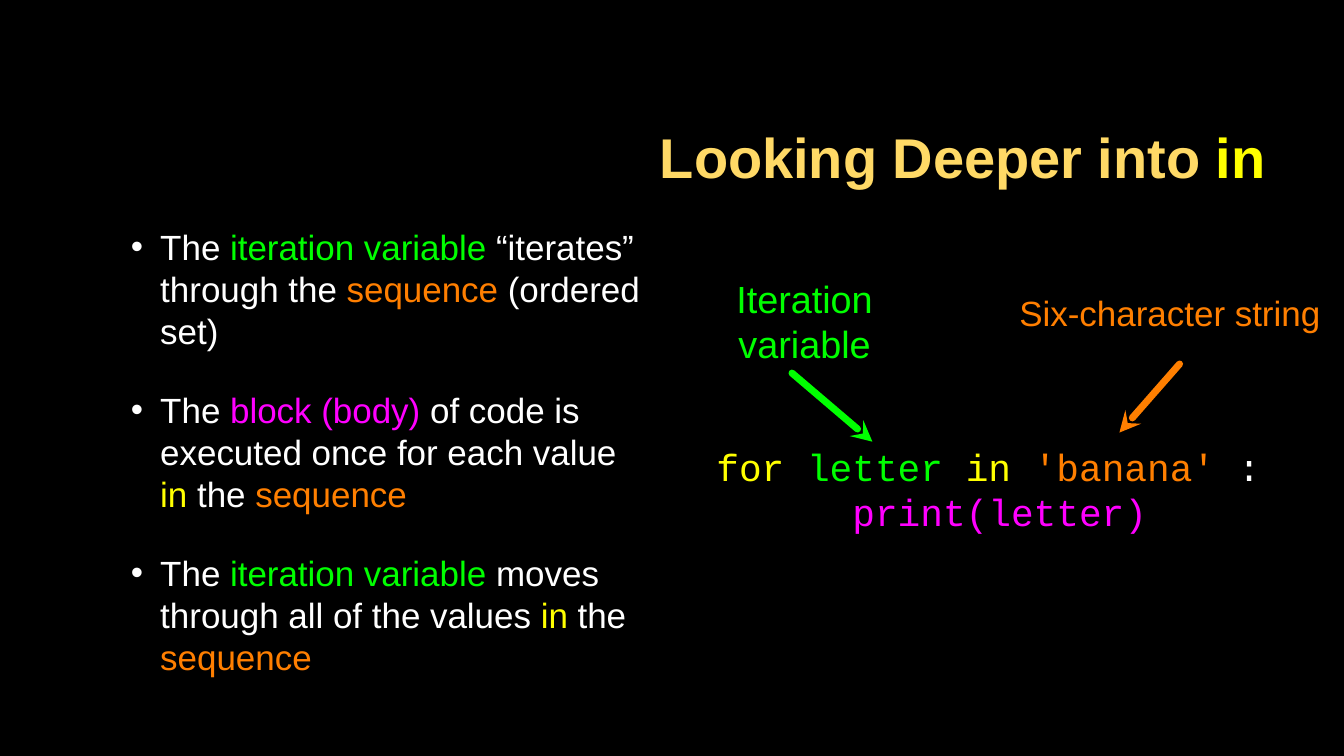
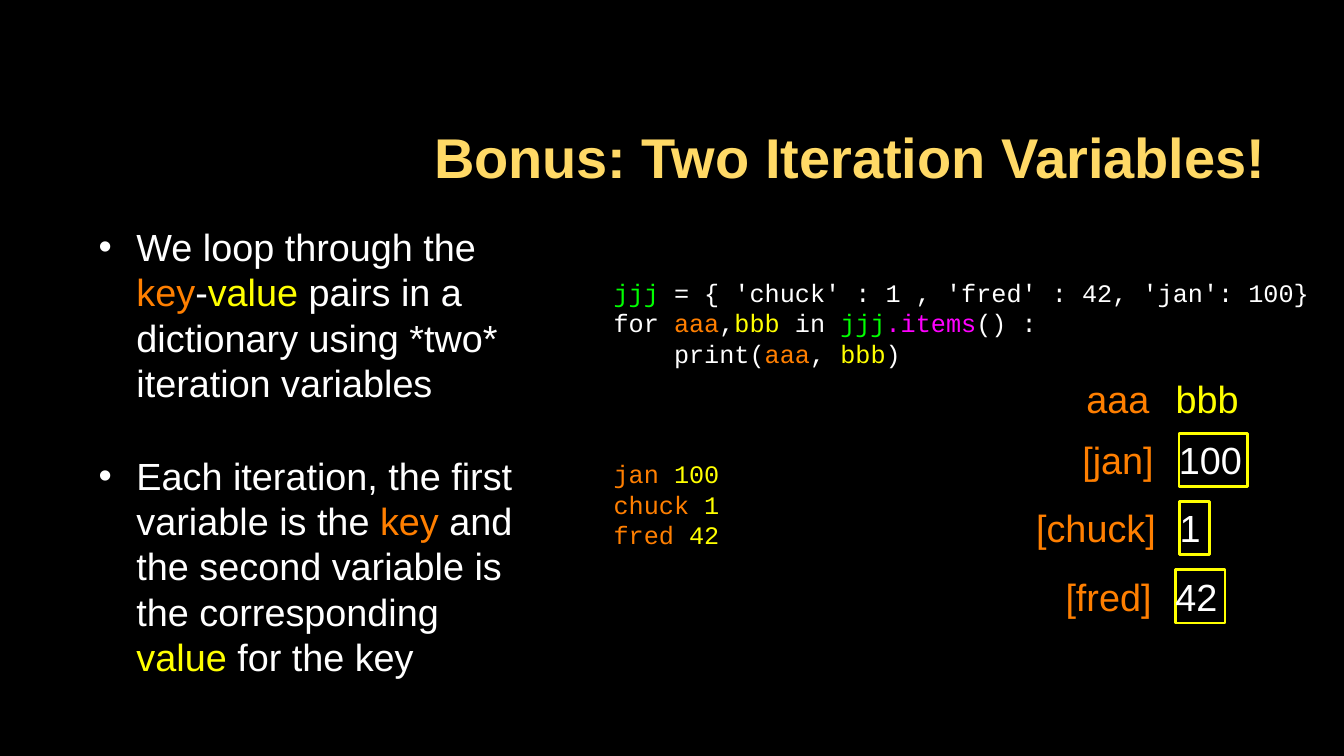
from typing import NamedTuple

from lxml import etree
from pptx import Presentation
from pptx.dml.color import RGBColor
from pptx.enum import shapes as kinds, text as t
from pptx.oxml.ns import qn
from pptx.util import Pt

HUES = {
    "black": "000000", "white": "FFFFFF", "gold": "FFD966", "yellow": "FFFF00",
    "green": "00FF00", "orange": "FF7F00", "pink": "FF00FF",
}
SANS, MONO = "Arial", "Courier New"
LEFT, MID, RIGHT = t.PP_ALIGN.LEFT, t.PP_ALIGN.CENTER, t.PP_ALIGN.RIGHT
LEAD = 1.2  # line pitch as a multiple of the text size


class Run(NamedTuple):
    text: str
    hue: str = "white"


class Box(NamedTuple):
    left: float
    top: float
    width: float
    height: float


class Look(NamedTuple):
    size: float
    font: str = SANS
    align: t.PP_ALIGN = LEFT
    bold: bool = False
    gap: float = 0
    inset: float = 0


class Label(NamedTuple):
    box: Box
    look: Look
    lines: list[list[Run]]


class Arrow(NamedTuple):
    start: tuple[float, float]
    tip: tuple[float, float]
    hue: str


class Entry(NamedTuple):
    key: str
    value: str
    right: float
    top: float
    left: float
    width: float


TITLE = Look(40, align=RIGHT, bold=True, inset=2)
BIG = Look(27, align=MID)

ITER = Run("iteration variable ", "green")
SEQ = Run("sequence", "orange")
IN = Run("in", "yellow")
KEY = Run("key", "orange")
AAA, BBB = Run("aaa", "orange"), Run("bbb", "yellow")
JJJ = Run("jjj", "green")

DEEP_LIST = [
    [Run("The "), ITER, Run("“iterates” through the "),
     Run("sequence ", "orange"), Run("(ordered set)")],
    [Run("The "), Run("block (body)", "pink"),
     Run(" of code is executed once for each value "), IN, Run(" the "), SEQ],
    [Run("The "), ITER, Run("moves through all of the values "), IN,
     Run(" the "), SEQ],
]
DEEP_LABELS = [
    Label(Box(512, 309, 425, 80.5), Look(27, MONO), [
        [Run("for ", "yellow"), Run("letter ", "green"), Run("in ", "yellow"),
         Run("'banana' ", "orange"), Run(":")],
        [Run("      print(letter)", "pink")],
    ]),
    Label(Box(479, 191.5, 192, 75.5), BIG, [[Run("Iteration variable", "green")]]),
    Label(Box(725, 191.5, 222, 63.5), Look(25, align=MID),
          [[Run("Six-character string", "orange")]]),
]
ARROWS = [
    Arrow((566, 266.5), (623.5, 315.5), "green"),
    Arrow((843, 260), (800, 309), "orange"),
]

PAIR_LIST = [
    [Run("We loop through the "), KEY, Run("-"), Run("value", "yellow"),
     Run(" pairs in a dictionary using *two* iteration variables")],
    [Run("Each iteration, the first variable is the "), KEY,
     Run(" and the second variable is the corresponding "),
     Run("value ", "yellow"), Run("for the key")],
]
PAIR_LABELS = [
    Label(Box(438.5, 198, 502.5, 65), Look(18, MONO), [
        [JJJ, Run(" = { 'chuck' : 1 , 'fred' : 42, 'jan': 100}")],
        [Run("for "), AAA, Run(","), BBB, Run(" in "), JJJ,
         Run(".items", "pink"), Run("() :")],
        [Run("    print("), AAA, Run(", "), BBB, Run(")")],
    ]),
    Label(Box(438.5, 327.5, 502.5, 65), Look(18, MONO), [
        [Run(key, "orange"), Run(f" {value}", "yellow")]
        for key, value in (("jan", 100), ("chuck", 1), ("fred", 42))
    ]),
    Label(Box(773.5, 266.5, 51, 36.5), BIG, [[AAA]]),
    Label(Box(839, 266.5, 47.5, 36.5), BIG, [[BBB]]),
]
ENTRIES = [
    Entry("[jan]", "100", 824.5, 309.5, 842.5, 49),
    Entry("[chuck]", "1", 826, 358, 843, 21.5),
    Entry("[fred]", "42", 823, 407, 840, 35.5),
]


def tint(hue: str) -> RGBColor:
    return RGBColor.from_string(HUES[hue])


def place(shape, box: Box) -> None:
    shape.left, shape.top, shape.width, shape.height = map(Pt, box)


def write(shape, lines: list[list[Run]], look: Look) -> None:
    frame = shape.text_frame
    frame.word_wrap = True
    frame.auto_size = t.MSO_AUTO_SIZE.NONE
    frame.vertical_anchor = t.MSO_ANCHOR.MIDDLE
    frame.margin_left = frame.margin_right = Pt(look.inset)
    frame.margin_top = frame.margin_bottom = Pt(look.inset)
    for i, runs in enumerate(lines):
        para = frame.add_paragraph() if i else frame.paragraphs[0]
        para.alignment = look.align
        para.line_spacing = Pt(look.size * LEAD)
        para.space_before = Pt(look.gap if i else 0)
        for item in runs:
            run = para.add_run()
            run.text = item.text
            run.font.name, run.font.size = look.font, Pt(look.size)
            run.font.bold = look.bold
            run.font.color.rgb = tint(item.hue)


def label(slide, item: Label) -> None:
    write(slide.shapes.add_textbox(*map(Pt, item.box)), item.lines, item.look)


def bullets(slide, lines: list[list[Run]], look: Look, box: Box,
            margin: float, hang: float) -> None:
    body = slide.placeholders[1]
    place(body, box)
    write(body, lines, look)
    for para in body.text_frame.paragraphs:
        props = para._p.get_or_add_pPr()
        props.set("marL", str(Pt(margin)))
        props.set("indent", str(-Pt(hang)))


def arrow(slide, item: Arrow) -> None:
    link = slide.shapes.add_connector(
        kinds.MSO_CONNECTOR.STRAIGHT, *map(Pt, item.start + item.tip))
    link.line.color.rgb = tint(item.hue)
    link.line.width = Pt(5)
    line = link.line._get_or_add_ln()
    line.set("cap", "rnd")
    etree.SubElement(line, qn("a:tailEnd"), type="stealth")
    etree.SubElement(link._element.spPr, qn("a:effectLst"))


def entry(slide, item: Entry) -> None:
    """Draw a key and, to its right, its value in a frame."""
    wide = 90
    label(slide, Label(Box(item.right - wide, item.top + 0.5, wide, 37),
                       Look(27, align=RIGHT), [[Run(item.key, "orange")]]))
    cell = slide.shapes.add_shape(
        kinds.MSO_SHAPE.RECTANGLE,
        *map(Pt, (item.left, item.top, item.width, 38)))
    cell.shadow.inherit = False
    cell.fill.background()
    cell.line.color.rgb = tint("yellow")
    cell.line.width = Pt(2)
    write(cell, [[Run(item.value)]], Look(27))


def main() -> None:
    deck = Presentation()
    deck.slide_width, deck.slide_height = Pt(960.5), Pt(540)
    back = deck.slide_master.background.fill
    back.solid()
    back.fore_color.rgb = tint("black")
    layout = deck.slide_layouts[1]
    place(layout.placeholders[0], Box(228, 60.5, 678.5, 101.5))

    def start(runs: list[Run]):
        slide = deck.slides.add_slide(layout)
        write(slide.shapes.title, [runs], TITLE)
        return slide

    deep = start([Run("Looking Deeper into ", "gold"), IN])
    bullets(deep, DEEP_LIST, Look(25, gap=26.2, inset=2),
            Box(68.5, 154, 395.5, 337), 44, 21)
    for item in DEEP_LABELS:
        label(deep, item)
    for item in ARROWS:
        arrow(deep, item)

    pair = start([Run("Bonus: Two Iteration Variables!", "gold")])
    bullets(pair, PAIR_LIST, Look(27, gap=33.7, inset=2),
            Box(68.5, 154, 319, 337), 27, 27)
    for item in PAIR_LABELS:
        label(pair, item)
    for item in ENTRIES:
        entry(pair, item)

    deck.save("out.pptx")


if __name__ == "__main__":
    main()
